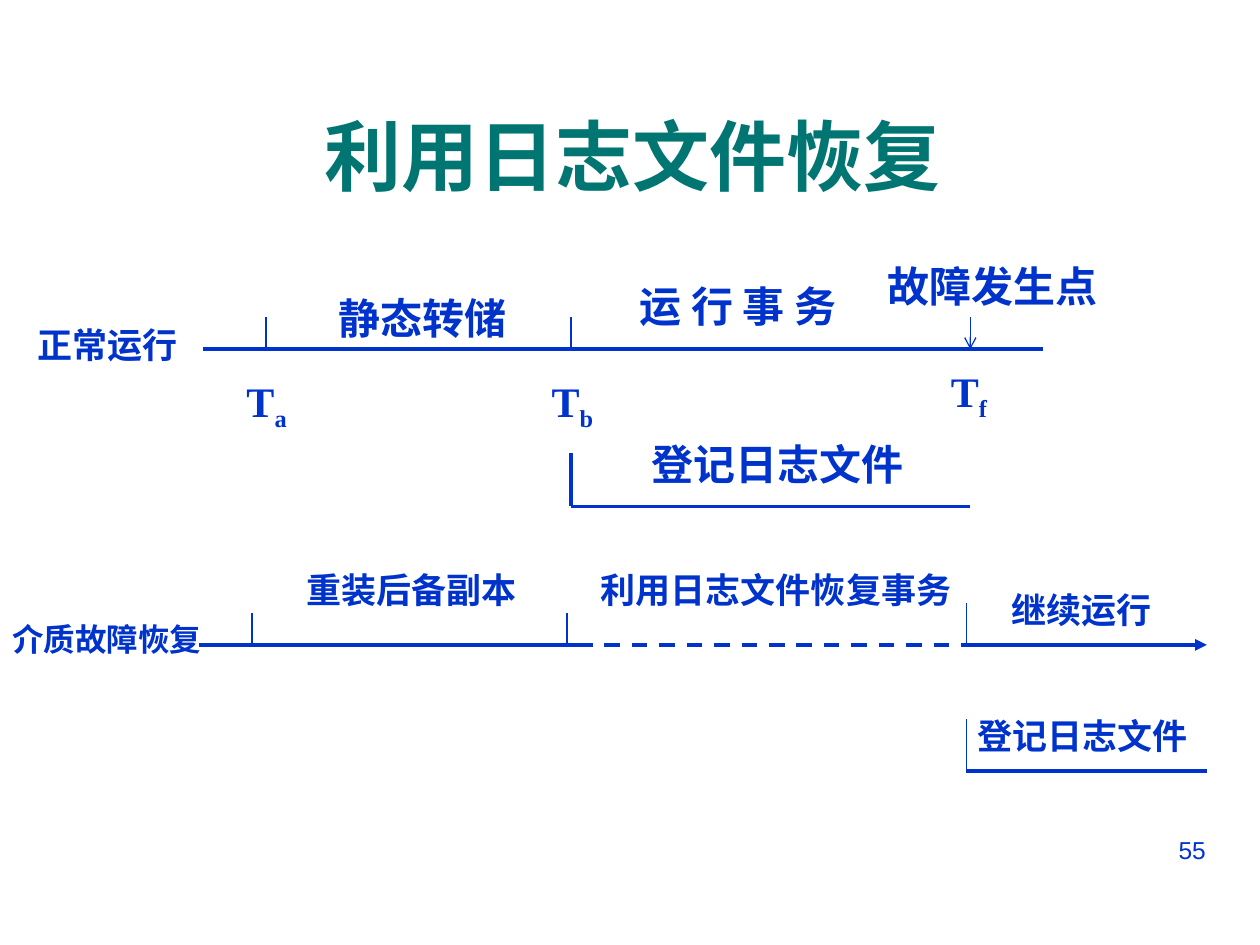
import pptx
import pptx.util
import pptx.dml.color
import pptx.enum.dml
import pptx.enum.shapes
import pptx.enum.text
import pptx.oxml.ns
import lxml.etree

Cm = pptx.util.Cm
Pt = pptx.util.Pt
ALIGN = pptx.enum.text.PP_ALIGN
HUES = {"ink": "0033CC", "title": "007572"}
SERIF, SANS = "Times New Roman", "Arial"
THICK, THIN = 2.25, 0.75
TICK = 0.64


def style(run, size, face, hue, bold):
    font = run.font
    font.size, font.name, font.bold = Pt(size), face, bold
    font.color.rgb = pptx.dml.color.RGBColor.from_string(HUES[hue])


def label(slide, x, y, wide, high, text, size, face=SERIF, hue="ink",
          bold=True, align=ALIGN.LEFT, sub=""):
    box = slide.shapes.add_textbox(Cm(x), Cm(y), Cm(wide), Cm(high))
    frame = box.text_frame
    frame.word_wrap = True
    frame.text = text
    para = frame.paragraphs[0]
    para.alignment = align
    if sub:
        low = para.add_run()
        low.text = sub
        low._r.get_or_add_rPr().set("baseline", "-25000")
    for run in para.runs:
        style(run, size, face, hue, bold)
    return frame


def line(slide, x1, y1, x2, y2, width=THICK, dash=False, tip=None):
    rule = slide.shapes.add_connector(
        pptx.enum.shapes.MSO_CONNECTOR.STRAIGHT, Cm(x1), Cm(y1), Cm(x2), Cm(y2))
    rule.line.width = Pt(width)
    rule.line.color.rgb = pptx.dml.color.RGBColor.from_string(HUES["ink"])
    if dash:
        rule.line.dash_style = pptx.enum.dml.MSO_LINE.DASH
    qn = pptx.oxml.ns.qn
    if tip:
        tail = lxml.etree.SubElement(rule.line._get_or_add_ln(), qn("a:tailEnd"))
        tail.set("type", tip)
    lxml.etree.SubElement(rule._element.spPr, qn("a:effectLst"))


def span(slide, x, y, wide, high, width):
    """Log bracket: an upright at the left and a base line."""
    line(slide, x, y, x, y + high, width)
    line(slide, x, y + high, x + wide, y + high)


def head(slide, x, y, wide, high):
    frame = label(slide, x, y, wide, high, "利用日志文件恢复", 44, SANS,
                  "title", align=ALIGN.CENTER)
    frame.vertical_anchor = pptx.enum.text.MSO_ANCHOR.MIDDLE


def normal(slide, x, y):
    """Normal operation, up to the failure."""
    axis = y + 1.91
    dump, run, fail = x + 4.86, x + 11.01, x + 19.06
    line(slide, x + 3.59, axis, x + 20.53, axis)
    label(slide, x, y + 1.27, 3.38, 1.12, "正常运行", 20)

    # Time marks
    for mark, name, drop, tip in ((dump, "a", 0.4, None), (run, "b", 0.4, None),
                                  (fail, "f", 0.2, "arrow")):
        line(slide, mark, axis - TICK, mark, axis, THIN, tip=tip)
        label(slide, mark - TICK, axis + drop, 1.47, 1.42, "T", 24, sub=name)

    # Phases
    for dx, dy, wide, text in ((6.07, 0.64, 4.3, "静态转储"),
                               (12.15, 0.41, 5.2, "运 行 事 务"),
                               (17.15, 0, 4.88, "故障发生点"),
                               (12.38, 3.58, 6.2, "登记日志文件")):
        label(slide, x + dx, y + dy, wide, 1.27, text, 24)

    # Log
    span(slide, run, y + 4.01, fail - run, 1.07, THICK)


def mend(slide, x, y):
    """Recovery after the media failure."""
    axis = y + 1.67
    load, redo, go, end = x + 5.08, x + 11.43, x + 19.48, x + 24.33
    turn = x + 11.63
    line(slide, x + 4.01, axis, turn, axis)
    line(slide, turn, axis, go, axis, dash=True)
    line(slide, go, axis, end, axis, tip="triangle")
    label(slide, x, y + 1.04, 4.88, 1.02, "介质故障恢复", 18)

    # Time marks
    for mark, high in ((load, TICK), (redo, TICK), (go, 0.84)):
        line(slide, mark, axis - high, mark, axis, THIN)

    # Phases
    for dx, dy, wide, text in ((5.92, 0, 5.08, "重装后备副本"),
                               (11.86, 0, 7.82, "利用日志文件恢复事务"),
                               (20.14, 0.4, 4, "继续运行"),
                               (19.46, 2.94, 5.6, "登记日志文件")):
        label(slide, x + dx, y + dy, wide, 1.12, text, 20)

    # Log
    span(slide, go, y + 3.17, end - go, 1.04, THIN)


def main():
    deck = pptx.Presentation()
    deck.slide_width, deck.slide_height = Cm(25.4), Cm(19.05)
    slide = deck.slides.add_slide(deck.slide_layouts[6])
    label(slide, 18.21, 16.71, 6.35, 1.32, "55", 14, SANS, bold=False,
          align=ALIGN.RIGHT)
    normal(slide, 0.5, 5.13)
    mend(slide, 0, 11.33)
    head(slide, 0.89, 1.52, 23.72, 3.18)
    deck.save("out.pptx")


if __name__ == "__main__":
    main()
